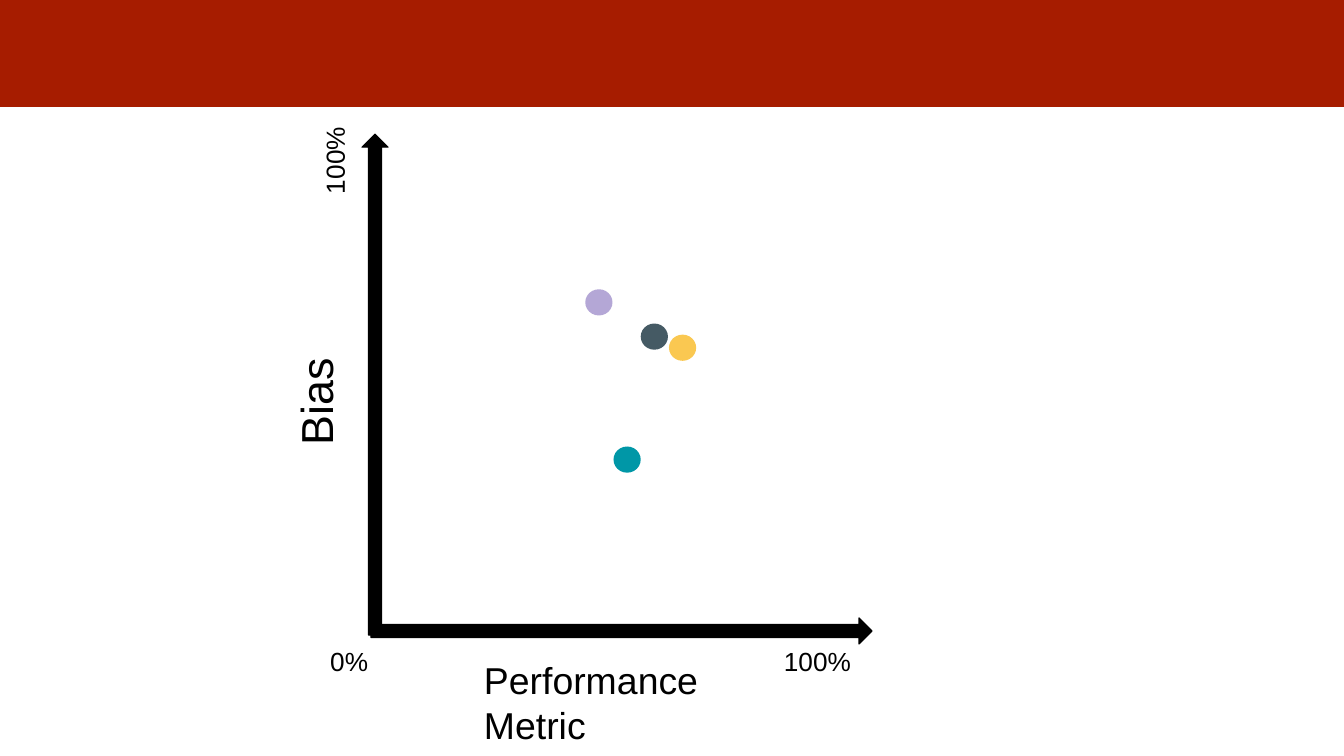
from dataclasses import dataclass

from pptx import Presentation
from pptx.dml.color import RGBColor
from pptx.enum.shapes import MSO_SHAPE as Shape
from pptx.enum.text import MSO_ANCHOR as Anchor, PP_ALIGN as Align
from pptx.util import Inches, Pt


@dataclass(frozen=True)
class Theme:
    font: str = "Arial"
    banner: str = "A61C00"
    ink: str = "000000"
    slate: str = "455A64"
    yellow: str = "FAC851"
    lilac: str = "B4A7D6"
    teal: str = "0097A7"
    tick_size: float = 18.7
    metric_size: float = 26.7
    bias_size: float = 32
    axis_line: float = 0.75


@dataclass(frozen=True)
class Box:
    left: float
    top: float
    width: float
    height: float

    def centred(self, x, y, width, height):
        return Box(self.left + x - width / 2, self.top + y - height / 2, width, height)

    def lengths(self):
        return [Inches(value) for value in (self.left, self.top, self.width, self.height)]


THEME = Theme()


def add_filled(page, kind, box, color, line=None, rotation=0):
    shape = page.shapes.add_shape(kind, *box.lengths())
    shape.shadow.inherit = False
    shape.rotation = rotation
    shape.fill.solid()
    shape.fill.fore_color.rgb = RGBColor.from_string(color)
    if line:
        shape.line.color.rgb = RGBColor.from_string(color)
        shape.line.width = Pt(line)
    else:
        shape.line.fill.background()


def add_text(page, text, box, *, size, color=THEME.ink, rotation=0):
    label = page.shapes.add_textbox(*box.lengths())
    label.rotation = rotation
    frame = label.text_frame
    frame.word_wrap = True
    frame.vertical_anchor = Anchor.TOP
    frame.margin_left = frame.margin_right = Inches(0.13)
    frame.margin_top = frame.margin_bottom = Inches(0.13)
    para = frame.paragraphs[0]
    para.alignment = Align.LEFT
    span = para.add_run()
    span.text = text
    span.font.name = THEME.font
    span.font.size = Pt(size)
    span.font.color.rgb = RGBColor.from_string(color)


def draw_banner(page, box):
    add_filled(page, Shape.RECTANGLE, box, THEME.banner)


def draw_dots(page, box):
    dots = [
        (2.81, 2.01, THEME.slate),
        (3.09, 2.12, THEME.yellow),
        (2.26, 1.67, THEME.lilac),
        (2.54, 3.23, THEME.teal),
    ]
    for x, y, color in dots:
        add_filled(page, Shape.OVAL, box.centred(x, y, 0.27, 0.26), color)


def draw_axes(page, box):
    axes = [
        (0.04, box.height / 2, box.height, 270),
        (box.width / 2, box.height - 0.04, box.width, 0),
    ]
    for x, y, length, rotation in axes:
        add_filled(page, Shape.RIGHT_ARROW, box.centred(x, y, length, 0.26),
                   THEME.ink, line=THEME.axis_line, rotation=rotation)


def draw_labels(page, box):
    labels = [
        ("0%", 0.62, 5.31, 2.31, THEME.tick_size, 0),
        ("100%", 5.12, 5.31, 2.31, THEME.tick_size, 0),
        ("Bias", -0.58, 2.06, 2.31, THEME.bias_size, 270),
        ("100%", -0.28, -0.43, 2.31, THEME.tick_size, 270),
        ("Performance Metric", 2.25, 5.43, 2.52, THEME.metric_size, 0),
    ]
    for text, x, y, width, size, rotation in labels:
        add_text(page, text, box.centred(x, y, width, 0.74), size=size, rotation=rotation)


def main():
    deck = Presentation()
    deck.slide_width = Inches(13.33)
    deck.slide_height = Inches(7.5)
    page = deck.slides.add_slide(deck.slide_layouts[6])
    plot = Box(3.68, 1.33, 4.97, 4.97)
    draw_banner(page, Box(-0.02, -0.04, 13.36, 1.1))
    draw_dots(page, plot)
    draw_axes(page, plot)
    draw_labels(page, plot)
    deck.save("out.pptx")


if __name__ == "__main__":
    main()
